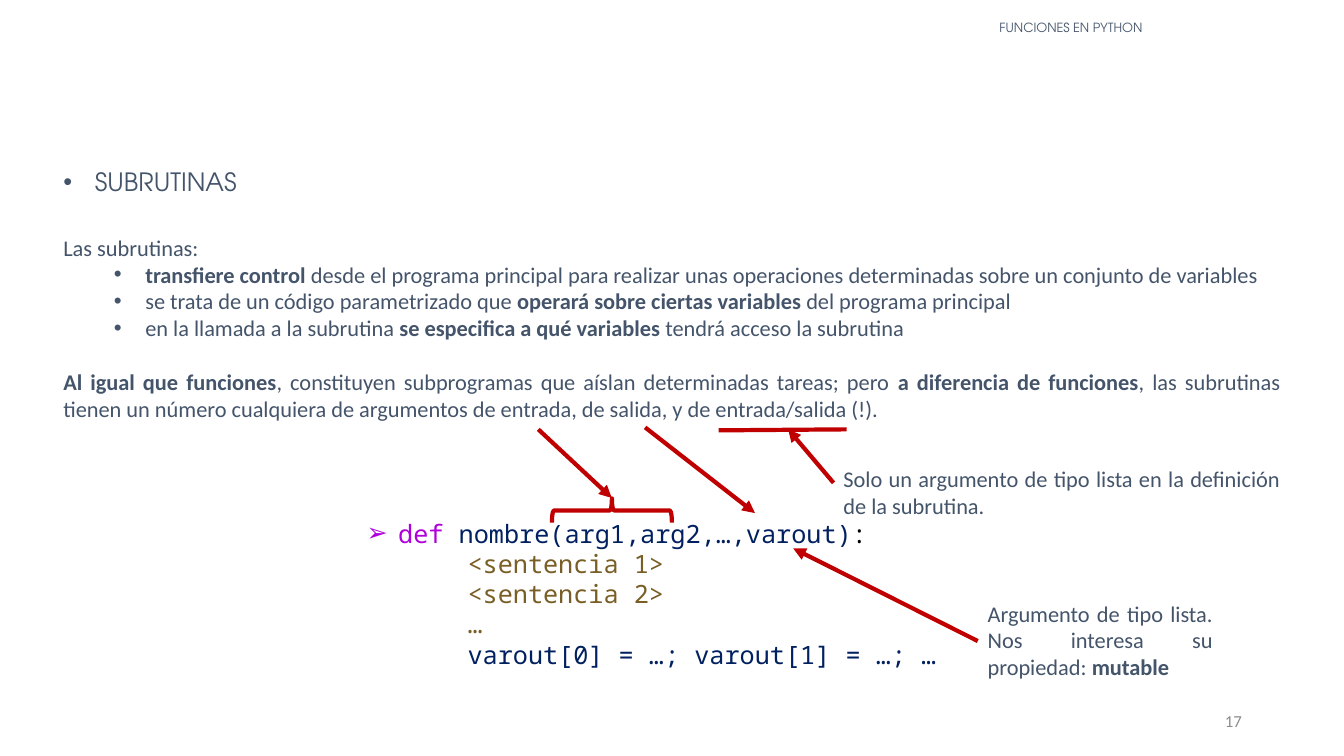
from lxml import etree
from pptx import Presentation
from pptx.dml.color import RGBColor
from pptx.enum import shapes, text
from pptx.oxml.ns import qn
from pptx.util import Pt

SLATE, RED, NAVY, PURPLE, BROWN, GREY = "44546A", "C00000", "002060", "AF00DB", "795E26", "8C8C8C"
SANS, MONO, TITLE = "Calibri", "Noto Sans Mono", "TeX Gyre Adventor"
HANG = 22.5       # width kept for a bullet
LINE = 19.5       # one line of body text
BODY_LEFT, BODY_WIDTH = 38.2, 883.4

# Content: ** switches bold on and off
HEADER = "FUNCIONES EN PYTHON"
HEADING = "SUBRUTINAS"
INTRO = "Las subrutinas:"
POINTS = [
    "**transfiere control **desde el programa principal para realizar unas operaciones "
    "determinadas sobre un conjunto de variables",
    "se trata de un código parametrizado que **operará sobre ciertas variables **del programa principal",
    "en la llamada a la subrutina **se especifica a qué variables **tendrá acceso la subrutina",
]
SUMMARY = ("**Al igual que funciones**, constituyen subprogramas que aíslan determinadas tareas; pero "
           "**a diferencia de funciones**, las subrutinas tienen un número cualquiera de argumentos "
           "de entrada, de salida, y de entrada/salida (!).")
SIGNATURE = [("def ", PURPLE), ("nombre(arg1,arg2,…,varout)", NAVY), (":", "000000")]
STATEMENTS = [("<sentencia 1>", BROWN), ("<sentencia 2>", BROWN), ("…", BROWN),
              ("varout[0] = …; varout[1] = …; …", NAVY)]
LIST_NOTE = "Solo un argumento de tipo lista en la definición de la subrutina."
MUTABLE_NOTE = "Argumento de tipo lista. Nos interesa su propiedad: **mutable**"

# Red marks: from, to, arrowhead
MARKS = [
    ((384.5, 306.7), (437, 355.7), True),      # entrada to the arguments
    ((460.8, 305.3), (539.3, 366.5), True),    # salida to varout
    ((698.4, 457.9), (566.6, 391.7), True),    # mutable note to varout
    ((513.4, 307.4), (604.8, 306.7), False),   # underline of entrada/salida
    ((595.4, 344.9), (563, 306.7), True),      # list note to the underline
]

prs = Presentation()
prs.slide_width, prs.slide_height = Pt(960), Pt(540)
s = prs.slides.add_slide(prs.slide_layouts[6])


def rgb(color):
    return RGBColor.from_string(color)


def para(content, margin=0, bullet=None, before=0):
    return content, margin, bullet, before


def add_text(box, paras, size=16, font=SANS, color=SLATE, align="LEFT", anchor="TOP"):
    tf = s.shapes.add_textbox(*map(Pt, box)).text_frame
    tf.word_wrap = True
    tf.vertical_anchor = text.MSO_ANCHOR[anchor]
    for i, (content, margin, bullet, before) in enumerate(paras):
        p = tf.paragraphs[0] if i == 0 else tf.add_paragraph()
        p.alignment = text.PP_ALIGN[align]
        p.space_before = Pt(before)
        pPr = p._p.get_or_add_pPr()
        pPr.set("marL", str(Pt(margin)))
        pPr.set("indent", str(Pt(-HANG if bullet else 0)))
        if bullet:
            etree.SubElement(pPr, qn("a:buFont")).set("typeface", "Arial")
            etree.SubElement(pPr, qn("a:buChar")).set("char", bullet)
        if isinstance(content, str):
            runs = [(part, color, n % 2 == 1) for n, part in enumerate(content.split("**"))]
        else:
            runs = [(part, shade, False) for part, shade in content]
        for part, shade, bold in runs:
            if part:
                r = p.add_run()
                r.text = part
                r.font.size, r.font.name, r.font.bold = Pt(size), font, bold
                r.font.color.rgb = rgb(shade)
    return tf


def style_line(sp):
    sp.line.color.rgb = rgb(RED)
    sp.line.width = Pt(3)


# Header and heading
add_text((573.8, 12.2, 382.3, 20.2), [para(HEADER)], 9, TITLE,
         align="CENTER").paragraphs[0].line_spacing = 0.9
add_text((BODY_LEFT, 115.2, 158.4, 28.8), [para(HEADING, HANG, "•")], 18, TITLE)

# Explanation
body = [para(INTRO)] + [para(point, 58.5, "•") for point in POINTS] + [para(SUMMARY, before=LINE)]
add_text((BODY_LEFT, 144 + LINE, BODY_WIDTH, 143.2), body, align="JUSTIFY")

# Code
code = [para(SIGNATURE, 166.5, "➢")] + [para([line], 216) for line in STATEMENTS]
add_text((110.9, 366.5, 738.7, 116.6), code, 18, MONO)

# Arrows and underline
for start, end, arrow in MARKS:
    c = s.shapes.add_connector(shapes.MSO_CONNECTOR.STRAIGHT, *map(Pt, start + end))
    style_line(c)
    if arrow:
        etree.SubElement(c.line._get_or_add_ln(), qn("a:tailEnd")).set("type", "triangle")
    etree.SubElement(c._element.spPr, qn("a:effectLst"))

# Brace over the arguments
brace = s.shapes.add_shape(shapes.MSO_SHAPE.LEFT_BRACE, *map(Pt, (428.4, 321.8, 17.3, 85.7)))
brace.rotation = 90
brace.shadow.inherit = False
brace.fill.background()
style_line(brace)

# Notes beside the code and page number
add_text((698.4, 424.8, 175, 65.5), [para(MUTABLE_NOTE)], align="JUSTIFY")
add_text((595.4, 329, 326.2, 46.1), [para(LIST_NOTE)], align="JUSTIFY")
add_text((678.2, 500.4, 216, 28.8), [para("17")], 12, color=GREY, align="RIGHT", anchor="MIDDLE")

prs.save("out.pptx")
